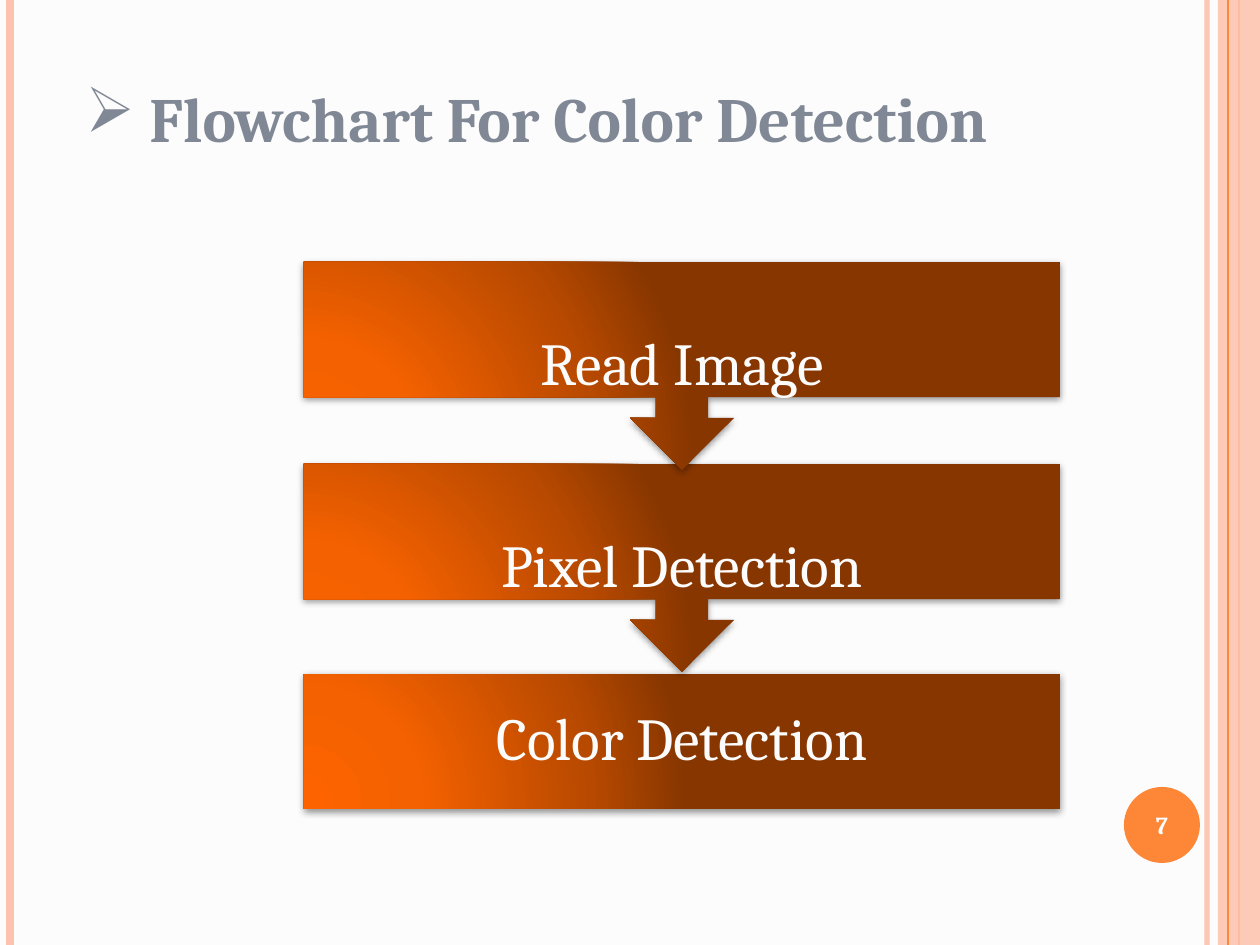
from lxml.etree import SubElement
from pptx import Presentation
from pptx.dml.color import RGBColor
from pptx.enum.shapes import MSO_CONNECTOR, MSO_SHAPE
from pptx.enum.text import MSO_ANCHOR, PP_ALIGN
from pptx.oxml import parse_xml
from pptx.oxml.ns import nsdecls, qn
from pptx.util import Pt

PX = 914400 // 126
PAGE_WIDTH, PAGE_HEIGHT = 1260, 945
FONT = "Cambria"
COLORS = {
    "page": "FCFCFC", "peach": "FEC3AE", "orange": "FE8637",
    "title": "818895", "white": "FFFFFF", "shadow": "000000",
}
GRADIENT = {0: "FD6400", 30: "F46100", 75: "B74900", 100: "873600"}


def color(name):
    return RGBColor.from_string(COLORS[name])


def emu(*lengths):
    return [length * PX for length in lengths]


def set_alpha(part, percent):
    for tone in part.iter(qn("a:srgbClr")):
        SubElement(tone, qn("a:alpha"), val=str(percent * 1000))


def add_text(page, box, text, size, tone, bold=False, inset=None,
             align=PP_ALIGN.CENTER, anchor=MSO_ANCHOR.MIDDLE):
    frame = page.shapes.add_textbox(*emu(*box)).text_frame
    frame.word_wrap = True
    frame.vertical_anchor = anchor
    if inset is not None:
        frame.margin_left = frame.margin_right = inset * PX
        frame.margin_top = frame.margin_bottom = inset * PX
    para = frame.paragraphs[0]
    para.text = text
    para.alignment = align
    font = para.runs[0].font
    font.name, font.size, font.bold = FONT, Pt(size), bold
    font.color.rgb = color(tone)
    return para


def add_plain_shape(page, kind, box, tone):
    shape = page.shapes.add_shape(kind, *emu(*box))
    shape.shadow.inherit = False
    shape.fill.solid()
    shape.fill.fore_color.rgb = color(tone)
    shape.line.fill.background()
    return shape


def add_rule(page, x, top, height, tone, width, alpha=None):
    rule = page.shapes.add_connector(
        MSO_CONNECTOR.STRAIGHT, *emu(x, top, x, top + height))
    rule.line.color.rgb = color(tone)
    rule.line.width = Pt(width)
    properties = rule._element.spPr
    if alpha:
        set_alpha(properties, alpha)
    SubElement(properties, qn("a:effectLst"))


def add_frame(page, box):
    """Vertical rules and the band along the page edges."""
    left, top, width, height = box
    right = left + width
    add_rule(page, right - 53, top, height, "peach", 3, alpha=93)
    add_rule(page, left + 10, top, height, "peach", 4.5)
    add_rule(page, right - 21, top, height, "orange", 1.5)
    band = add_plain_shape(page, MSO_SHAPE.RECTANGLE,
                           (right - 42, top, 42, height), "peach")
    set_alpha(band._element.spPr, 87)
    add_rule(page, right - 32, top, height, "orange", 0.75)


def add_title(page, box, text):
    para = add_text(page, box, text, 36, "title", bold=True,
                    align=PP_ALIGN.LEFT, anchor=MSO_ANCHOR.TOP)
    SubElement(para._p.get_or_add_pPr(), qn("a:buChar"), char="➢")


def style_step(shape):
    """Radial gradient from the lower left, and a soft shadow below."""
    shape.line.fill.background()
    stops = "".join(
        f'<a:gs pos="{place * 1000}"><a:srgbClr val="{tone}"/></a:gs>'
        for place, tone in GRADIENT.items())
    outline = shape._element.spPr.find(qn("a:ln"))
    outline.addprevious(parse_xml(
        f'<a:gradFill {nsdecls("a")} rotWithShape="1"><a:gsLst>{stops}</a:gsLst>'
        '<a:path path="circle"><a:fillToRect l="5000" t="100000" r="120000"'
        ' b="10000"/></a:path></a:gradFill>'))
    outline.addnext(parse_xml(
        f'<a:effectLst {nsdecls("a")}><a:outerShdw blurRad="{Pt(4)}"'
        f' dist="{Pt(1.6)}" dir="5400000" rotWithShape="0">'
        f'<a:srgbClr val="{COLORS["shadow"]}"><a:alpha val="42000"/></a:srgbClr>'
        '</a:outerShdw></a:effectLst>'))


def add_flowchart(page, box, steps):
    """Steps from top to bottom; all but the last point to the next."""
    left, top, width, height = box
    last_height, callout_height, pitch = 135, 208, 202
    last = len(steps) - 1
    # The lowest step is drawn first, so that each arrow lies on the next step
    for index in range(last, -1, -1):
        if index == last:
            kind, angle = MSO_SHAPE.RECTANGLE, 0
            step_box = (left, top + height - last_height, width, last_height)
        else:
            kind, angle = MSO_SHAPE.UP_ARROW_CALLOUT, 180
            step_box = (left, top + index * pitch, width, callout_height)
        shape = page.shapes.add_shape(kind, *emu(*step_box))
        shape.rotation = angle
        style_step(shape)
        para = add_text(page, step_box, steps[index], 34, "page", inset=33)
        para.line_spacing = 0.9


def add_page_number(page, box, number):
    left, top, size, _ = box
    add_plain_shape(page, MSO_SHAPE.OVAL, box, "orange")
    add_text(page, (left - 4, top + 2, size + 8, size - 4), number, 14,
             "white", bold=True)


def main():
    deck = Presentation()
    deck.slide_width, deck.slide_height = emu(PAGE_WIDTH, PAGE_HEIGHT)
    page = deck.slides.add_slide(deck.slide_layouts[6])
    page.background.fill.solid()
    page.background.fill.fore_color.rgb = color("page")

    add_frame(page, (0, 0, PAGE_WIDTH, PAGE_HEIGHT))
    add_flowchart(page, (304, 262, 756, 547),
                  ["Read Image", "Pixel Detection", "Color Detection"])
    add_title(page, (73, 73, 1102, 89), " Flowchart For Color Detection")
    add_page_number(page, (1124, 787, 76, 76), "7")
    deck.save("out.pptx")


if __name__ == "__main__":
    main()
